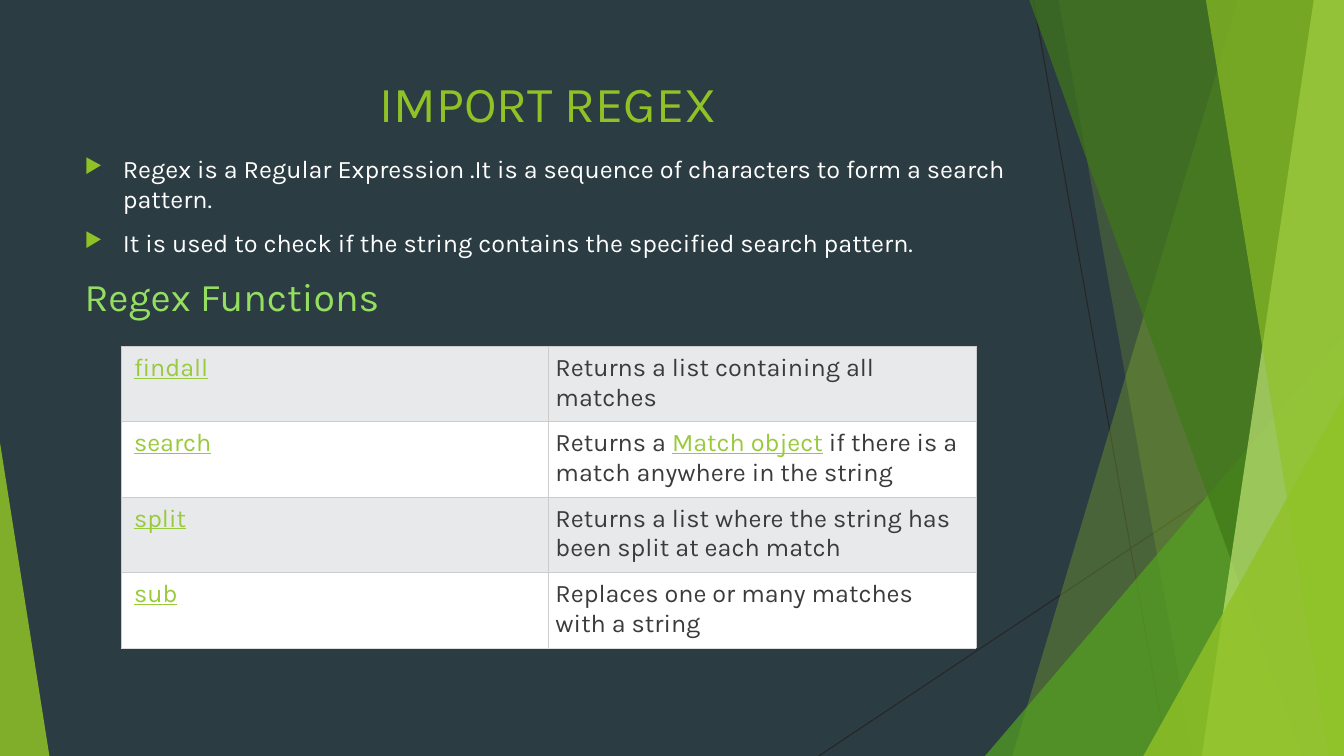
"""Build the IMPORT REGEX slide with its faceted green backdrop and function table."""
from dataclasses import dataclass

from lxml.etree import SubElement
from pptx import Presentation
from pptx.dml.color import RGBColor
from pptx.enum.shapes import MSO_CONNECTOR as Connector, MSO_SHAPE as Preset
from pptx.enum.text import MSO_ANCHOR as Anchor, PP_ALIGN as Align
from pptx.oxml.ns import qn
from pptx.util import Inches, Pt

WIDTH, HEIGHT = Inches(13.33), Inches(7.5)
FONT = "Karla"
COLORS = {
    "background": "2C3C43", "hairline": "262626", "lime": "90C226",
    "green": "54A021", "forest": "3F7819", "pale": "C0E474",
    "white": "FFFFFF", "heading": "94DE61", "link": "99CA3C",
    "text": "3B3B3B", "band": "E7E9EB", "border": "CCCCCC", "last border": "DDDDDD",
}


@dataclass(frozen=True)
class Band:
    """A full-height facet on the right edge, given by its left ends in percent."""
    top: float
    bottom: float
    color: str
    opacity: int


@dataclass(frozen=True)
class Wedge:
    """A right triangle standing on the bottom edge, sized in percent."""
    left: float
    top: float
    width: float
    apex: int
    color: str
    opacity: int


@dataclass(frozen=True)
class Piece:
    """A stretch of text that may be styled as a link."""
    text: str
    link: bool = False


@dataclass(frozen=True)
class Entry:
    """A paragraph of the body."""
    text: str
    size: int
    color: str
    bullet: bool


HAIRLINES = [(76.89, 0, 86.87, 100), (100, 53.73, 60.92, 100)]
FACETS = [
    Band(92.12, 75.32, "lime", 30),
    Band(78.77, 88.75, "lime", 20),
    Wedge(73.29, 44.4, 26.71, 1, "green", 72),
    Band(76.59, 96.85, "forest", 70),
    Band(97.75, 89.42, "pale", 70),
    Band(89.72, 98.87, "lime", 65),
    Wedge(85.07, 52.4, 14.93, 1, "lime", 80),
    Wedge(0, 58.53, 3.68, 0, "lime", 85),
]
BODY = [
    Entry("Regex is a Regular Expression .It is a sequence of characters to form a search pattern.",
          18, "white", True),
    Entry("It is used to check if the string contains the specified search pattern.",
          18, "white", True),
    Entry("Regex Functions", 28, "heading", False),
]
FUNCTIONS = [
    ("findall", [Piece("Returns a list containing all matches")]),
    ("search", [Piece("Returns a "), Piece("Match object", True),
                Piece(" if there is a match anywhere in the string")]),
    ("split", [Piece("Returns a list where the string has been split at each match")]),
    ("sub", [Piece("Replaces one or many matches with a string")]),
]


def across(percent: float) -> int:
    """Turn a share of the slide's width into a length."""
    return round(WIDTH * percent / 100)


def down(percent: float) -> int:
    """Turn a share of the slide's height into a length."""
    return round(HEIGHT * percent / 100)


def rgb(name: str) -> RGBColor:
    """Look up a colour."""
    return RGBColor.from_string(COLORS[name])


def style(span, size: int, color: str, underline: bool = False) -> None:
    """Format one run."""
    span.font.name = FONT
    span.font.size = Pt(size)
    span.font.color.rgb = rgb(color)
    span.font.underline = underline


def add_hairline(page, x1: float, y1: float, x2: float, y2: float) -> None:
    """Draw a thin dark line."""
    line = page.shapes.add_connector(Connector.STRAIGHT, across(x1), down(y1), across(x2), down(y2))
    line.line.color.rgb = rgb("hairline")
    line.line.width = Pt(0.75)
    SubElement(line._element.spPr, qn("a:effectLst"))


def add_facet(page, facet: Band | Wedge) -> None:
    """Draw one translucent facet of the backdrop."""
    if isinstance(facet, Band):
        builder = page.shapes.build_freeform(across(facet.top), 0)
        builder.add_line_segments([(WIDTH, 0), (WIDTH, HEIGHT), (across(facet.bottom), HEIGHT)])
        shape = builder.convert_to_shape()
    else:
        shape = page.shapes.add_shape(Preset.ISOSCELES_TRIANGLE, across(facet.left), down(facet.top),
                                      across(facet.width), down(100 - facet.top))
        shape.adjustments[0] = facet.apex
    shape.shadow.inherit = False
    shape.line.fill.background()
    shape.fill.solid()
    shape.fill.fore_color.rgb = rgb(facet.color)
    tint = shape._element.spPr.find(qn("a:solidFill"))[0]
    SubElement(tint, qn("a:alpha"), val=str(facet.opacity * 1000))


def add_frame(page, top: float, height: float):
    """Add a wrapping text box in the content column."""
    box = page.shapes.add_textbox(across(5.55), down(top), across(70.52), down(height))
    box.text_frame.word_wrap = True
    box.text_frame.vertical_anchor = Anchor.TOP
    return box.text_frame


def add_bullet(para) -> None:
    """Give a paragraph a hanging green arrow."""
    props = para._p.get_or_add_pPr()
    props.set("marL", str(Inches(0.38)))
    props.set("indent", str(-Inches(0.38)))
    SubElement(SubElement(props, qn("a:buClr")), qn("a:srgbClr"), val=COLORS["lime"])
    SubElement(props, qn("a:buSzPct"), val="80000")
    SubElement(props, qn("a:buChar"), char="▶")


def add_texts(page) -> None:
    """Write the title and the body."""
    title = add_frame(page, 8.93, 19.2)
    title.text = "IMPORT REGEX"
    title.paragraphs[0].alignment = Align.CENTER
    style(title.paragraphs[0].runs[0], 36, "lime")
    body = add_frame(page, 19.6, 68.53)
    body.text = "\n".join(entry.text for entry in BODY)
    for para, entry in zip(body.paragraphs, BODY):
        para.space_before = Pt(10)
        style(para.runs[0], entry.size, entry.color)
        if entry.bullet:
            add_bullet(para)


def fill_cell(cell, pieces: list[Piece], left: float, fill: str, bottom: str) -> None:
    """Write, border and fill one table cell."""
    cell.margin_left = Inches(left)
    cell.margin_top = cell.margin_right = cell.margin_bottom = Inches(0.07)
    para = cell.text_frame.paragraphs[0]
    for piece in pieces:
        span = para.add_run()
        span.text = piece.text
        style(span, 18, "link" if piece.link else "text", piece.link)
    props = cell._tc.get_or_add_tcPr()
    for side in ("lnL", "lnR", "lnT", "lnB"):
        edge = SubElement(props, qn(f"a:{side}"), w=str(Pt(0.6)))
        color = COLORS[bottom if side == "lnB" else "border"]
        SubElement(SubElement(edge, qn("a:solidFill")), qn("a:srgbClr"), val=color)
    cell.fill.solid()
    cell.fill.fore_color.rgb = rgb(fill)


def add_functions(page) -> None:
    """Draw the table of regex functions."""
    table = page.shapes.add_table(len(FUNCTIONS), 2, across(9), down(45.87),
                                  across(63.62), down(35.87)).table
    table.first_row = table.horz_banding = False
    for index, (name, summary) in enumerate(FUNCTIONS):
        table.rows[index].height = down(10 if index else 5.87)
        fill = "white" if index % 2 else "band"
        bottom = "last border" if index == len(FUNCTIONS) - 1 else "border"
        fill_cell(table.cell(index, 0), [Piece(name, True)], 0.13, fill, bottom)
        fill_cell(table.cell(index, 1), summary, 0.07, fill, bottom)


def main() -> None:
    """Build and save the deck."""
    deck = Presentation()
    deck.slide_width, deck.slide_height = WIDTH, HEIGHT
    page = deck.slides.add_slide(deck.slide_layouts[6])
    page.background.fill.solid()
    page.background.fill.fore_color.rgb = rgb("background")
    for ends in HAIRLINES:
        add_hairline(page, *ends)
    for facet in FACETS:
        add_facet(page, facet)
    add_texts(page)
    add_functions(page)
    deck.save("out.pptx")


if __name__ == "__main__":
    main()
